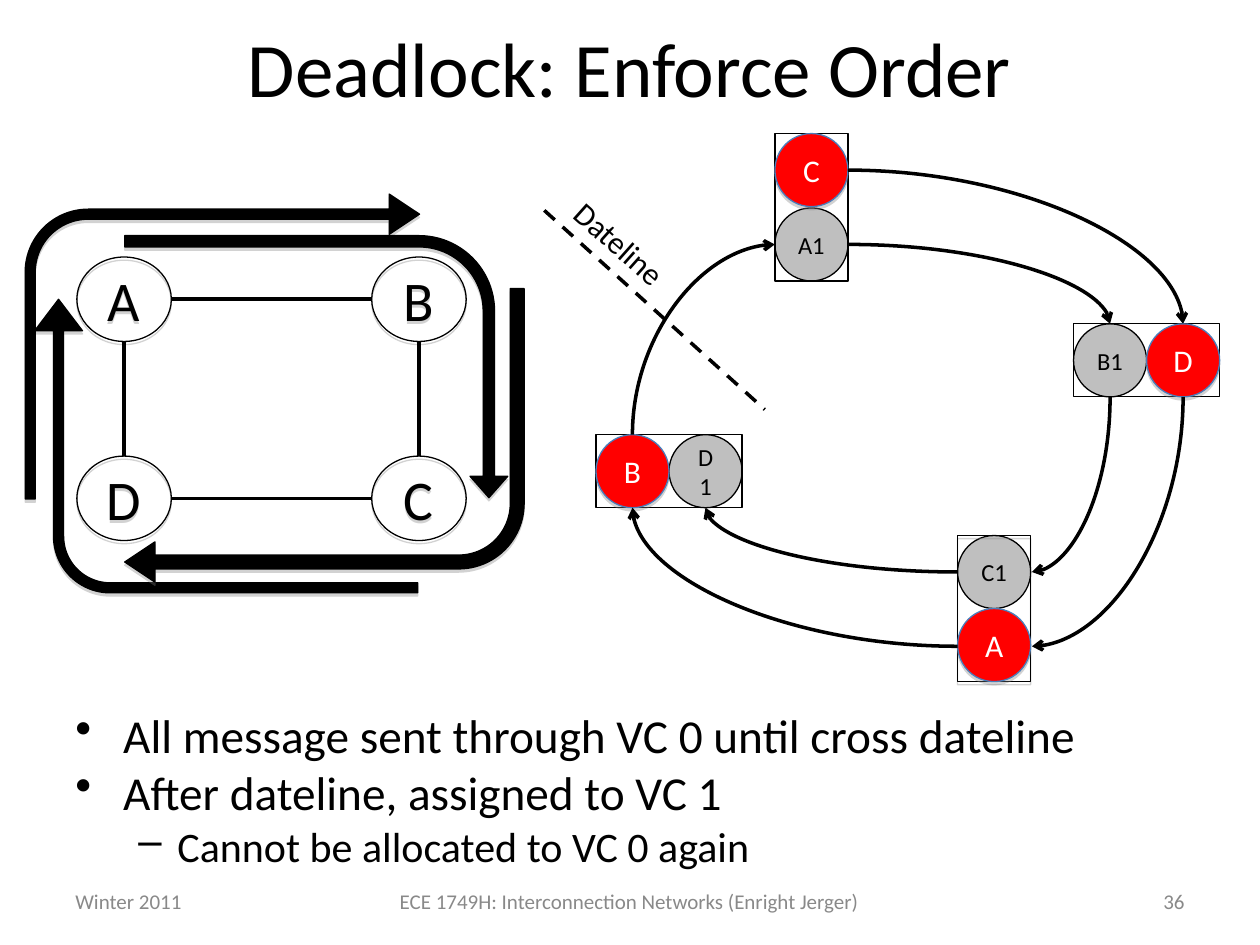
"""Build the slide on enforcing order with a dateline to avoid deadlock."""
from lxml import etree
from pptx import Presentation
from pptx.dml.color import RGBColor
from pptx.enum.dml import MSO_LINE
from pptx.enum.shapes import MSO_CONNECTOR as CONN, MSO_SHAPE as SHAPE
from pptx.enum.text import MSO_ANCHOR as ANCHOR, PP_ALIGN as ALIGN
from pptx.oxml import parse_xml
from pptx.oxml.ns import nsdecls, qn
from pptx.util import Inches, Pt

BLACK = RGBColor(0x00, 0x00, 0x00)
WHITE = RGBColor(0xFF, 0xFF, 0xFF)
GRAY = RGBColor(0xBF, 0xBF, 0xBF)
RED = RGBColor(0xFF, 0x00, 0x00)
BLUE = RGBColor(0x4A, 0x7E, 0xBB)
FOOTER = RGBColor(0x89, 0x89, 0x89)
SHADOW = (
    f'<a:effectLst {nsdecls("a")}><a:outerShdw dist="22860" dir="5400000" rotWithShape="0">'
    '<a:srgbClr val="808080"><a:alpha val="35000"/></a:srgbClr></a:outerShdw></a:effectLst>'
)

prs = Presentation()
prs.slide_width, prs.slide_height = Inches(10), Inches(7.5)
s = prs.slides.add_slide(prs.slide_layouts[6])


def add_shape(kind, box, fill=None, line=BLACK, shadow=False, text="", size=18, color=BLACK):
    sp = s.shapes.add_shape(kind, *map(Inches, box))
    if fill is None:
        sp.fill.background()
    else:
        sp.fill.solid()
        sp.fill.fore_color.rgb = fill
    sp.line.color.rgb = line
    sp.line.width = Pt(0.75)
    sp.shadow.inherit = False
    if shadow:
        old = sp._element.spPr.find(qn("a:effectLst"))
        old.getparent().replace(old, parse_xml(SHADOW))
    if text:
        tf = sp.text_frame
        tf.word_wrap, tf.vertical_anchor = True, ANCHOR.MIDDLE
        p = tf.paragraphs[0]
        p.alignment = ALIGN.CENTER
        r = p.add_run()
        r.text = text
        for k, v in {"name": "Calibri", "size": Pt(size)}.items():
            setattr(r.font, k, v)
        r.font.color.rgb = color
    return sp


def add_line(kind, start, end):
    c = s.shapes.add_connector(kind, *map(Inches, start + end))
    c.line.color.rgb = BLACK
    c.line.width = Pt(2)
    etree.SubElement(c._element.spPr, qn("a:effectLst"))
    return c


texts = [
    ((0.5, 0, 9, 1.06), "Deadlock: Enforce Order", 44, BLACK, ALIGN.CENTER, 0),
    ((4.37, 1.8, 1.25, 0.4), "Dateline", 18, BLACK, ALIGN.LEFT, 41.7),
    ((0.5, 6.95, 2.33, 0.4), "Winter 2011", 12, FOOTER, ALIGN.LEFT, 0),
    ((2.83, 6.95, 4.33, 0.4), "ECE 1749H: Interconnection Networks (Enright Jerger)",
     12, FOOTER, ALIGN.CENTER, 0),
    ((7.17, 6.95, 2.33, 0.4), "36", 12, FOOTER, ALIGN.RIGHT, 0),
]
for box, text, size, color, align, angle in texts:
    sp = s.shapes.add_textbox(*map(Inches, box))
    sp.rotation = angle
    tf = sp.text_frame
    tf.word_wrap, tf.vertical_anchor = True, ANCHOR.MIDDLE
    p = tf.paragraphs[0]
    p.alignment = align
    r = p.add_run()
    r.text = text
    for k, v in {"name": "Calibri", "size": Pt(size)}.items():
        setattr(r.font, k, v)
    r.font.color.rgb = color

bullets = [
    ("All message sent through VC 0 until cross dateline", 0, "•", 0.38, 0.38, 27, 0),
    ("After dateline, assigned to VC 1", 0, "•", 0.38, 0.38, 27, 6.8),
    ("Cannot be allocated to VC 0 again", 1, "–", 0.81, 0.31, 24, 6),
]
tf = s.shapes.add_textbox(*map(Inches, (0.5, 5.64, 9, 1.33))).text_frame
tf.word_wrap = True
for i, (text, level, mark, left, hang, size, before) in enumerate(bullets):
    p = tf.add_paragraph() if i else tf.paragraphs[0]
    pPr = p._p.get_or_add_pPr()
    pPr.set("marL", str(Inches(left)))
    pPr.set("indent", str(-Inches(hang)))
    etree.SubElement(pPr, qn("a:buChar")).set("char", mark)
    for k, v in {"level": level, "line_spacing": 0.8, "space_before": Pt(before)}.items():
        setattr(p, k, v)
    r = p.add_run()
    r.text = text
    for k, v in {"name": "Calibri", "size": Pt(size)}.items():
        setattr(r.font, k, v)
    r.font.color.rgb = BLACK

D = 0.58
channels = [
    ("C", (6.15, 1.06), "A1", (6.15, 1.65)),
    ("D", (9.1, 2.57), "B1", (8.52, 2.57)),
    ("A", (7.6, 4.83), "C1", (7.6, 4.25)),
    ("B", (4.73, 3.45), "D1", (5.31, 3.45)),
]
for vc0, (x0, y0), vc1, (x1, y1) in channels:
    add_shape(SHAPE.OVAL, (x1, y1, D, D), GRAY, text=vc1, size=14)
    frame = (min(x0, x1), min(y0, y1), D + abs(x0 - x1), D + abs(y0 - y1))
    add_shape(SHAPE.RECTANGLE, frame, shadow=vc0 == "A")
    add_shape(SHAPE.OVAL, (x0, y0, D, D), RED, BLUE, True, vc0, 18, WHITE)

add_line(CONN.STRAIGHT, (4.32, 1.67), (6.07, 3.25)).line.dash_style = MSO_LINE.DASH

curves = [
    ((6.73, 1.35), (9.39, 2.57), "tailEnd"),
    ((8.19, 5.13), (9.39, 3.15), "headEnd"),
    ((7.6, 5.13), (5.02, 4.03), "tailEnd"),
    ((6.15, 1.94), (5.02, 3.45), "headEnd"),
    ((6.73, 1.94), (8.81, 2.57), "tailEnd"),
    ((8.19, 4.54), (8.81, 3.15), "headEnd"),
    ((7.6, 4.54), (5.6, 4.03), "tailEnd"),
]
for start, end, tip in curves:
    c = add_line(CONN.CURVE, start, end)
    c._element.spPr.find(qn("a:prstGeom")).set("prst", "curvedConnector2")
    etree.SubElement(c.line._get_or_add_ln(), qn("a:" + tip)).set("type", "arrow")

W, H = 0.75, 0.67
LEFT, RIGHT, TOP, BOTTOM = 0.61, 2.95, 2.04, 3.62
for text, x, y in [("A", LEFT, TOP), ("B", RIGHT, TOP), ("D", LEFT, BOTTOM), ("C", RIGHT, BOTTOM)]:
    add_shape(SHAPE.OVAL, (x, y, W, H), shadow=True, text=text, size=32)
for y in (TOP, BOTTOM):
    add_line(CONN.STRAIGHT, (LEFT + W, y + H / 2), (RIGHT, y + H / 2))
for x in (LEFT, RIGHT):
    add_line(CONN.STRAIGHT, (x + W / 2, TOP + H), (x + W / 2, BOTTOM))

bent_arrows = [
    ((0.63, 2.02, 2.33, 3.04), 270, (0.08, 0.19, 0.25, 0.45)),
    ((0.2, 1.54, 3.13, 2.42), 0, (0.08, 0.16, 0.24, 0.5)),
    ((1.47, 1.39, 2.08, 3.04), 90, (0.09, 0.15, 0.17, 0.6)),
    ((0.99, 2.29, 3.17, 2.33), 180, (0.11, 0.16, 0.24, 0.52)),
]
for box, angle, sizes in bent_arrows:
    sp = add_shape(SHAPE.BENT_ARROW, box, BLACK, shadow=True)
    sp.rotation = angle
    for i, size in enumerate(sizes):
        sp.adjustments[i] = size / min(box[2:])

prs.save("out.pptx")
